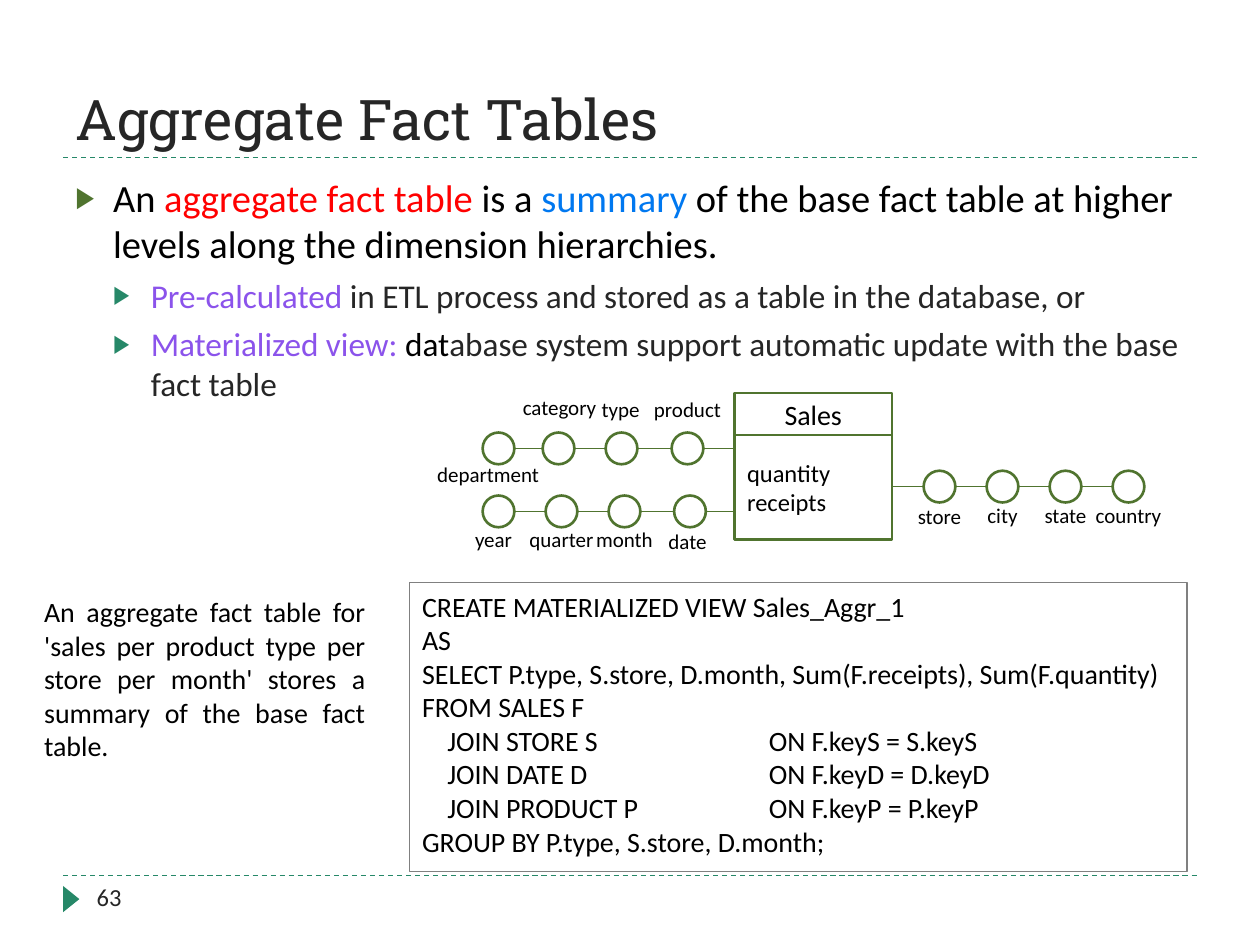
import pptx
import pptx.dml.color
import pptx.enum.dml
import pptx.enum.shapes
import pptx.enum.text
import pptx.oxml.ns
import pptx.util
from lxml import etree

Cm = pptx.util.Cm
Pt = pptx.util.Pt
Align = pptx.enum.text.PP_ALIGN
Anchor = pptx.enum.text.MSO_ANCHOR
Shape = pptx.enum.shapes.MSO_SHAPE
qn = pptx.oxml.ns.qn

COLORS = {
    "ink": "262626", "black": "000000", "white": "FFFFFF", "gray": "808080",
    "green": "50742F", "teal": "268868",
    "red": "FF0000", "blue": "0078F0", "purple": "8B53EB",
}
BODY_FONT = "Calibri"
TITLE_FONT = "Roboto Slab"
CIRCLE_SIZE = 0.64
LABEL_WIDTH, LABEL_HEIGHT = 2.4, 0.76

BULLETS = [
    (0, [("An ", "black"), ("aggregate fact table ", "red"), ("is a ", "black"),
         ("summary", "blue"),
         (" of the base fact table at higher levels along the dimension hierarchies.", "black")]),
    (1, [("Pre-calculated", "purple"),
         (" in ETL process and stored as a table in the database, or", "ink")]),
    (1, [("Materialized view: ", "purple"), ("dat", "black"),
         ("abase system support automatic update with the base fact table", "ink")]),
]
# Per level: text size, space before, left indent in cm, bullet colour
LEVELS = [(22, 6, 0.76, "green"), (19, 5, 1.52, "teal")]

SQL = [
    "CREATE MATERIALIZED VIEW Sales_Aggr_1",
    "AS",
    "SELECT P.type, S.store, D.month, Sum(F.receipts), Sum(F.quantity)",
    "FROM SALES F",
    "    JOIN STORE S \tON F.keyS = S.keyS",
    "    JOIN DATE D \tON F.keyD = D.keyD",
    "    JOIN PRODUCT P\tON F.keyP = P.keyP",
    "GROUP BY P.type, S.store, D.month;",
]

# Per hierarchy: line start, line end, centre height, then
# (level name, circle centre, label centre, label top)
HIERARCHIES = [
    (10.05, 14.81, 9.04, [
        ("department", 10.05, 9.84, 9.17), ("category", 11.26, 11.28, 7.82),
        ("type", 12.53, 12.51, 7.87), ("product", 13.86, 13.86, 7.87)]),
    (10.05, 14.81, 10.31, [
        ("year", 10.05, 9.95, 10.49), ("quarter", 11.32, 11.32, 10.49),
        ("month", 12.59, 12.59, 10.49), ("date", 13.91, 13.86, 10.54)]),
    (17.98, 22.75, 9.81, [
        ("store", 18.94, 18.94, 10.03), ("city", 20.21, 20.21, 10.01),
        ("state", 21.48, 21.48, 10.01), ("country", 22.75, 22.75, 10.01)]),
]


def rgb(name):
    return pptx.dml.color.RGBColor.from_string(COLORS[name])


def write_paragraph(paragraph, text, size=16, color="black", font=BODY_FONT, align=Align.LEFT):
    """Fill a paragraph from a string or a list of (text, colour) runs."""
    paragraph.alignment = align
    for part, part_color in [(text, color)] if isinstance(text, str) else text:
        run = paragraph.add_run()
        run.text = part
        run.font.size = Pt(size)
        run.font.name = font
        run.font.color.rgb = rgb(part_color)


def write_text(shape, lines, anchor=Anchor.TOP, side_margin=0.25, tab=None, **text_format):
    frame = shape.text_frame
    frame.word_wrap = True
    frame.auto_size = pptx.enum.text.MSO_AUTO_SIZE.NONE
    frame.vertical_anchor = anchor
    frame.margin_left = frame.margin_right = Cm(side_margin)
    for index, line in enumerate(lines):
        paragraph = frame.add_paragraph() if index else frame.paragraphs[0]
        if tab:
            tab_list = etree.SubElement(paragraph._p.get_or_add_pPr(), qn("a:tabLst"))
            etree.SubElement(tab_list, qn("a:tab"), pos=str(Cm(tab)), algn="l")
        write_paragraph(paragraph, line, **text_format)


def place(shape, left, top, width, height):
    shape.left, shape.top, shape.width, shape.height = map(Cm, (left, top, width, height))


def add_text(slide, lines, box, **text_format):
    write_text(slide.shapes.add_textbox(*map(Cm, box)), lines, **text_format)


def add_shape(slide, kind, box, fill="white", line=None, width=1.5):
    shape = slide.shapes.add_shape(kind, *map(Cm, box))
    shape.shadow.inherit = False
    shape.fill.solid()
    shape.fill.fore_color.rgb = rgb(fill)
    if line:
        shape.line.color.rgb = rgb(line)
        shape.line.width = Pt(width)
    else:
        shape.line.fill.background()
    return shape


def add_line(slide, start, end, height, color, dashed=False):
    line = slide.shapes.add_connector(
        pptx.enum.shapes.MSO_CONNECTOR.STRAIGHT, Cm(start), Cm(height), Cm(end), Cm(height))
    line.line.color.rgb = rgb(color)
    line.line.width = Pt(0.75)
    if dashed:
        line.line.dash_style = pptx.enum.dml.MSO_LINE.DASH
    etree.SubElement(line._element.spPr, qn("a:effectLst"))


def add_bullet(paragraph, indent, color):
    properties = paragraph._p.get_or_add_pPr()
    properties.set("marL", str(Cm(indent)))
    properties.set("indent", str(-Cm(0.76)))
    bullet_color = etree.SubElement(properties, qn("a:buClr"))
    etree.SubElement(bullet_color, qn("a:srgbClr"), val=COLORS[color])
    etree.SubElement(properties, qn("a:buSzPct"), val="76000")
    etree.SubElement(properties, qn("a:buChar"), char="▶")


def add_frame(slide):
    """Draw the dashed rules, the corner triangle and the page number."""
    for height in (3.18, 17.65):
        add_line(slide, 1.27, 24.13, height, "teal", dashed=True)
    triangle = add_shape(slide, Shape.ISOSCELES_TRIANGLE, (1.17, 17.96, 0.53, 0.33), fill="teal")
    triangle.rotation = 90
    add_text(slide, ["63"], (1.7, 17.65, 5.5, 1.02), size=14, color="ink")


def fill_placeholders(slide):
    title, body = slide.shapes.title, slide.placeholders[1]
    place(title, 1.27, 0.43, 22.86, 2.75)
    write_text(title, ["Aggregate Fact Tables"], anchor=Anchor.BOTTOM,
               size=32, color="ink", font=TITLE_FONT)
    place(body, 1.27, 3.38, 22.86, 6.35)
    write_text(body, [])
    frame = body.text_frame
    for index, (level, runs) in enumerate(BULLETS):
        size, space_before, indent, color = LEVELS[level]
        paragraph = frame.add_paragraph() if index else frame.paragraphs[0]
        paragraph.level = level
        paragraph.space_before = Pt(space_before if index else 0)
        add_bullet(paragraph, indent, color)
        write_paragraph(paragraph, runs, size=size)


def add_hierarchy(slide, start, end, height, levels):
    add_line(slide, start, end, height, "green")
    for name, center, label_center, label_top in levels:
        add_shape(slide, Shape.OVAL, (center - CIRCLE_SIZE / 2, height - CIRCLE_SIZE / 2,
                                      CIRCLE_SIZE, CIRCLE_SIZE), line="green")
        add_text(slide, [name],
                 (label_center - LABEL_WIDTH / 2, label_top, LABEL_WIDTH, LABEL_HEIGHT),
                 size=12, align=Align.CENTER, side_margin=0)


def add_fact_table(slide):
    header = add_shape(slide, Shape.RECTANGLE, (14.81, 7.92, 3.17, 0.85), line="green")
    write_text(header, ["Sales"], anchor=Anchor.MIDDLE, align=Align.CENTER)
    measures = add_shape(slide, Shape.RECTANGLE, (14.81, 8.77, 3.17, 2.11), line="green")
    write_text(measures, ["quantity", "receipts"], anchor=Anchor.MIDDLE, size=14)


def main():
    presentation = pptx.Presentation()
    presentation.slide_width, presentation.slide_height = Cm(25.4), Cm(19.05)
    slide = presentation.slides.add_slide(presentation.slide_layouts[1])
    add_frame(slide)
    fill_placeholders(slide)
    query = add_shape(slide, Shape.RECTANGLE, (8.26, 11.75, 15.67, 5.82), line="gray", width=0.75)
    write_text(query, SQL, tab=6.99)
    add_text(slide, ["An aggregate fact table for 'sales per product type per store per month' "
                     "stores a summary of the base fact table."],
             (0.64, 11.86, 6.98, 3.68), align=Align.JUSTIFY)
    for hierarchy in HIERARCHIES:
        add_hierarchy(slide, *hierarchy)
    add_fact_table(slide)
    presentation.save("out.pptx")


if __name__ == "__main__":
    main()
